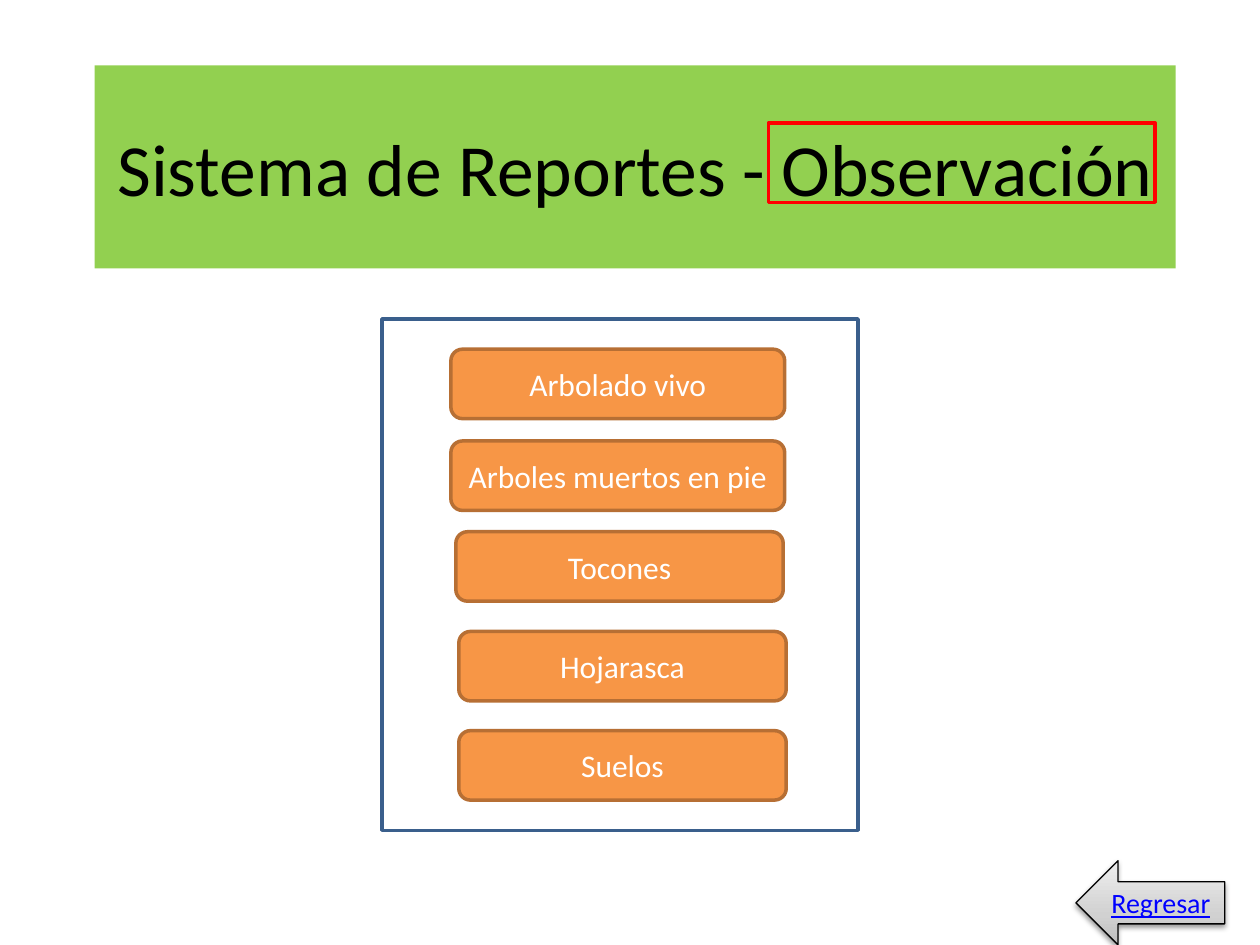
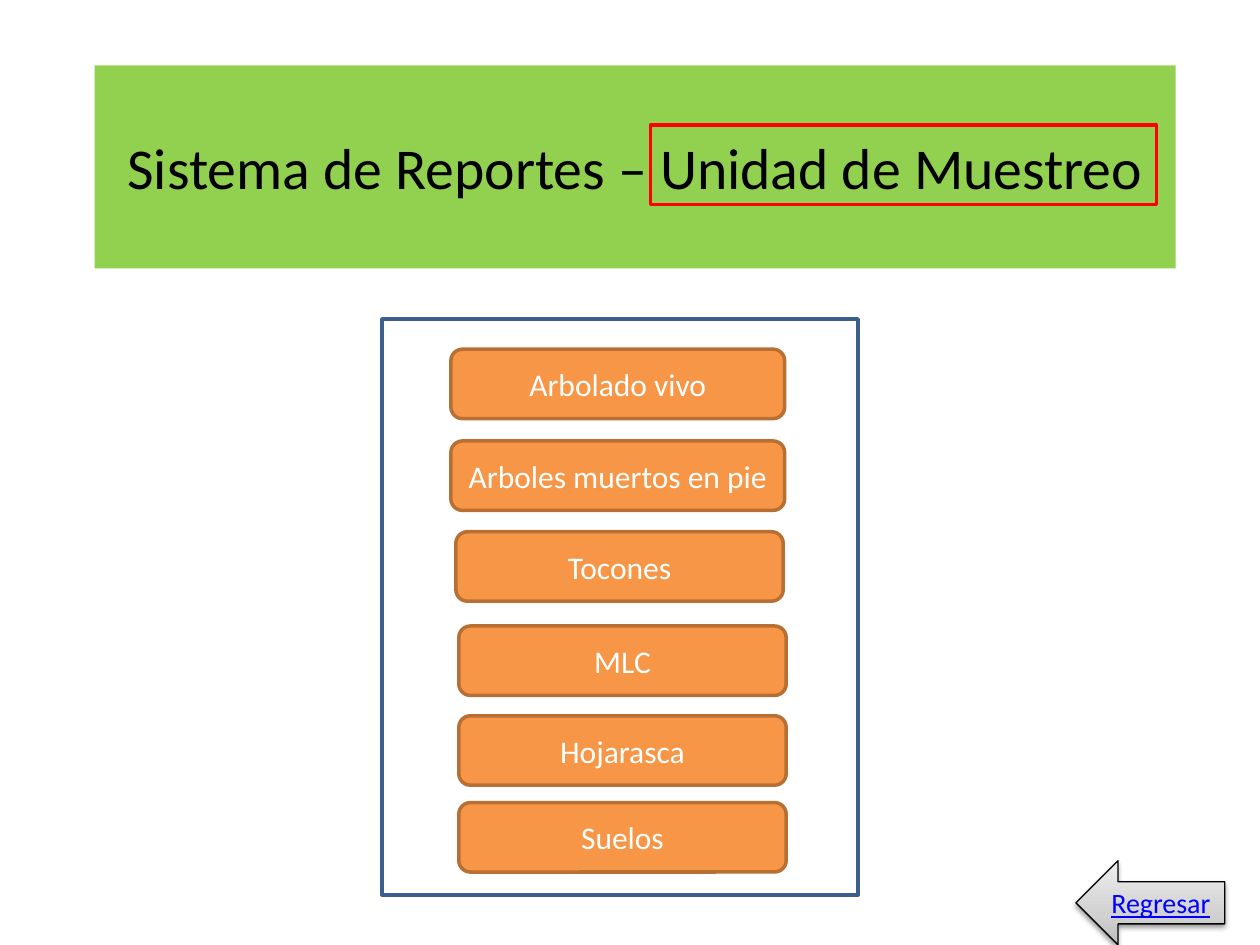
from pptx import Presentation
from pptx.dml.color import RGBColor
from pptx.enum import shapes, text
from pptx.oxml import parse_xml
from pptx.oxml.ns import nsdecls
from pptx.util import Cm, Pt

BLACK = RGBColor(0x00, 0x00, 0x00)
WHITE = RGBColor(0xFF, 0xFF, 0xFF)
GREEN = RGBColor(0x92, 0xD0, 0x50)
ORANGE = RGBColor(0xF7, 0x96, 0x46)
BROWN = RGBColor(0xB7, 0x6F, 0x34)
NAVY = RGBColor(0x3A, 0x5F, 0x8C)
RED = RGBColor(0xFF, 0x00, 0x00)
BLUE = RGBColor(0x00, 0x00, 0xFF)
GREYS = (
    (0, RGBColor(0xBD, 0xBD, 0xBD)),
    (35, RGBColor(0xD1, 0xD1, 0xD1)),
    (100, RGBColor(0xEE, 0xEE, 0xEE)),
)
FONT = "Calibri"
SHAPE = shapes.MSO_SHAPE

BUTTON_HEIGHT = 1.4
SHARED_BUTTONS = [
    ("Arbolado vivo", 9.09, 7.04, 6.73),
    ("Arboles muertos en pie", 9.09, 8.89, 6.73),
    ("Tocones", 9.19, 10.72, 6.6),
]
LOWER_LEFT, LOWER_WIDTH = 9.25, 6.6

SLIDES = [
    {
        "title": "Sistema de Reportes - Observación",
        "size": 42,
        "panel_height": 10.31,
        "buttons": [("Hojarasca", 12.73), ("Suelos", 14.73)],
        "highlight": (15.49, 2.48, 7.8, 1.6),
    },
    {
        "title": "Sistema de Reportes – Unidad de Muestreo",
        "size": 33,
        "panel_height": 11.61,
        "buttons": [("MLC", 12.62), ("Hojarasca", 14.43), ("Suelos", 16.18)],
        "highlight": (13.11, 2.52, 10.21, 1.6),
    },
]


def write(sp, content, size, color, underline=None):
    """Write one centred run in the middle of a shape."""
    tf = sp.text_frame
    tf.word_wrap = True
    tf.vertical_anchor = text.MSO_ANCHOR.MIDDLE
    p = tf.paragraphs[0]
    p.alignment = text.PP_ALIGN.CENTER
    r = p.add_run()
    r.text = content
    r.font.name = FONT
    r.font.size = Pt(size)
    r.font.color.rgb = color
    r.font.underline = underline


def add_box(slide, kind, box, line, weight=2):
    """Add an outlined shape without shadow, measured in centimetres."""
    sp = slide.shapes.add_shape(kind, *map(Cm, box))
    sp.shadow.inherit = False
    sp.line.color.rgb = line
    sp.line.width = Pt(weight)
    return sp


def add_frame(slide, box, line):
    """Add an empty rectangle."""
    add_box(slide, SHAPE.RECTANGLE, box, line).fill.background()


def add_title(slide, content, size):
    """Turn the title placeholder into the green band."""
    sp = slide.shapes.title
    sp.left, sp.top, sp.width, sp.height = map(Cm, (1.91, 1.32, 21.79, 4.09))
    sp.fill.solid()
    sp.fill.fore_color.rgb = GREEN
    write(sp, content, size, BLACK)


def add_button(slide, label, left, top, width):
    """Add one orange menu button."""
    box = (left, top, width, BUTTON_HEIGHT)
    sp = add_box(slide, SHAPE.ROUNDED_RECTANGLE, box, BROWN)
    sp.fill.solid()
    sp.fill.fore_color.rgb = ORANGE
    write(sp, label, 18, WHITE)


def add_back_arrow(slide):
    """Add the grey return arrow with its gradient and shadow."""
    sp = add_box(slide, SHAPE.LEFT_ARROW, (21.69, 17.35, 3.0, 1.7), BLACK, 0.75)
    stops = "".join(
        f'<a:gs pos="{pos * 1000}"><a:srgbClr val="{color}"/></a:gs>'
        for pos, color in GREYS
    )
    gradient = parse_xml(
        f'<a:gradFill {nsdecls("a")} rotWithShape="1"><a:gsLst>{stops}</a:gsLst>'
        '<a:lin ang="16200000" scaled="1"/></a:gradFill>'
    )
    shadow = parse_xml(
        f'<a:outerShdw {nsdecls("a")} blurRad="{Pt(3.1)}" dist="{Pt(1.6)}" '
        f'dir="5400000" rotWithShape="0"><a:srgbClr val="{BLACK}">'
        '<a:alpha val="38000"/></a:srgbClr></a:outerShdw>'
    )
    props = sp._element.spPr
    props.find("{*}prstGeom").addnext(gradient)
    props.find("{*}effectLst").append(shadow)
    write(sp, "Regresar", 16, BLUE, underline=True)


def add_menu_slide(prs, title, size, panel_height, buttons, highlight):
    """Add a report menu slide."""
    slide = prs.slides.add_slide(prs.slide_layouts[5])
    add_title(slide, title, size)
    add_frame(slide, (7.7, 6.43, 9.6, panel_height), NAVY)
    lower = [(label, LOWER_LEFT, top, LOWER_WIDTH) for label, top in buttons]
    for button in SHARED_BUTTONS + lower:
        add_button(slide, *button)
    add_frame(slide, highlight, RED)
    add_back_arrow(slide)


def main():
    """Build the presentation."""
    prs = Presentation()
    prs.slide_width, prs.slide_height = Cm(25.4), Cm(19.05)
    for content in SLIDES:
        add_menu_slide(prs, **content)
    prs.save("out.pptx")


main()
